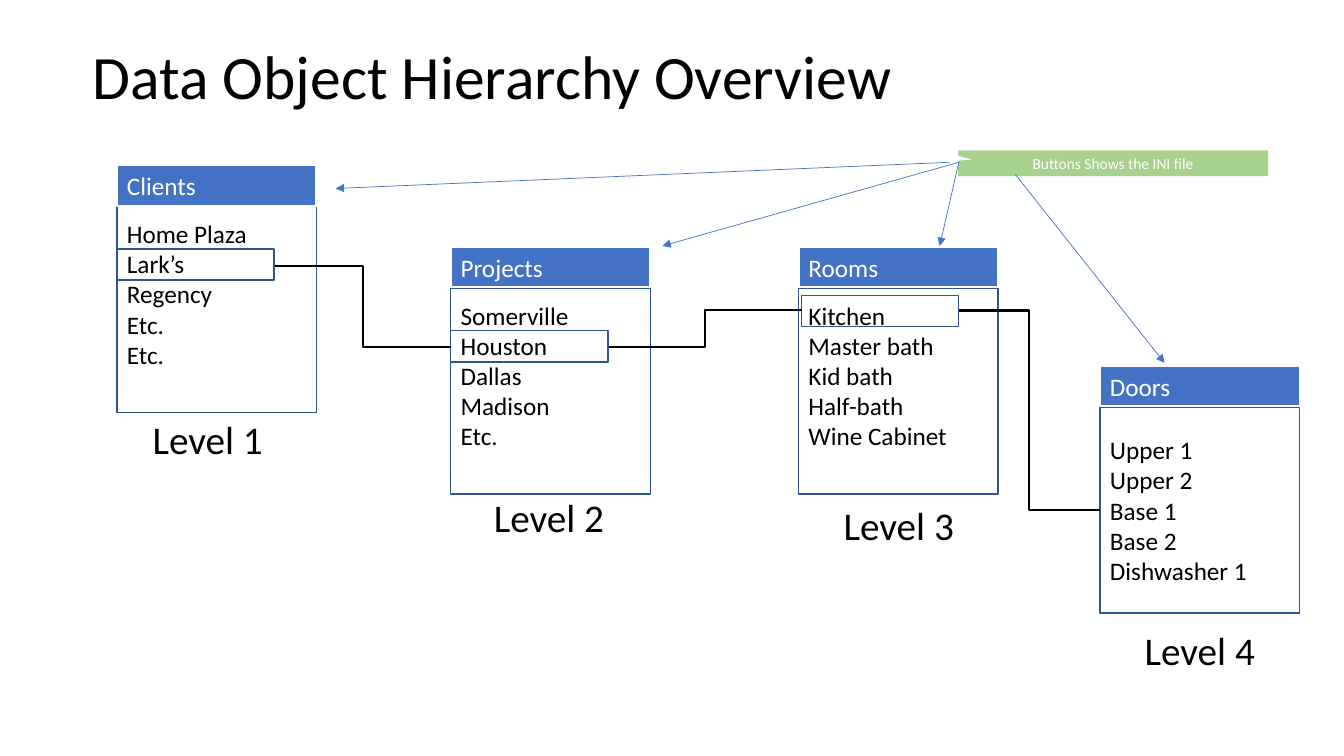
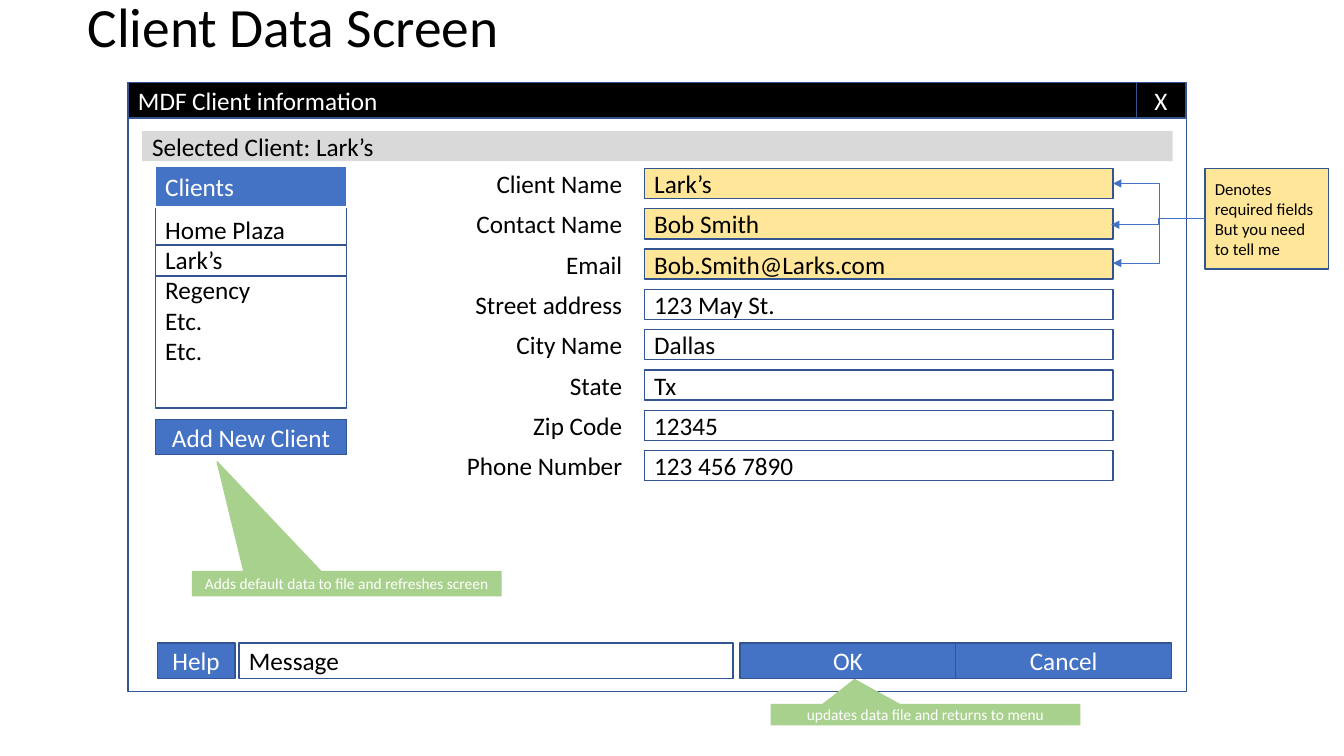
from lxml.etree import SubElement
from pptx import Presentation
from pptx.dml.color import RGBColor
from pptx.enum.shapes import MSO_CONNECTOR, MSO_SHAPE
from pptx.enum.text import MSO_ANCHOR, PP_ALIGN
from pptx.oxml.ns import qn
from pptx.util import Pt

PX = 9144  # EMU per px, 100 px to the inch

BLACK, WHITE = "000000", "FFFFFF"
BLUE, OUTLINE = "4472C4", "325491"
GREEN, YELLOW, GREY = "A9D18E", "FFE699", "D9D9D9"

LEFT, CENTER, RIGHT = PP_ALIGN.LEFT, PP_ALIGN.CENTER, PP_ALIGN.RIGHT
ROW_HEIGHT = 31
BODY_HEIGHT = 204


def rgb(color):
    return RGBColor.from_string(color)


class Deck:
    font = "Calibri"
    size = 18

    def __init__(self):
        self.presentation = Presentation()
        self.presentation.slide_width = 1333 * PX
        self.presentation.slide_height = 750 * PX
        self.slide = None

    def new_slide(self):
        self.slide = self.presentation.slides.add_slide(self.presentation.slide_layouts[6])

    def set_text(self, shape, text, color=BLACK, size=None, align=LEFT, spacing=None):
        frame = shape.text_frame
        frame.word_wrap = True
        frame.vertical_anchor = MSO_ANCHOR.MIDDLE
        frame.text = text
        for paragraph in frame.paragraphs:
            paragraph.alignment = align
            paragraph.line_spacing = spacing
            for run in paragraph.runs:
                run.font.name = self.font
                run.font.size = Pt(size or self.size)
                run.font.color.rgb = rgb(color)

    def text(self, left, top, width, height, text, **style):
        shape = self.slide.shapes.add_textbox(left * PX, top * PX, width * PX, height * PX)
        self.set_text(shape, text, **style)

    def title(self, left, top, height, text, size):
        self.text(left, top, 1150, height, text, size=size, spacing=0.9)

    def box(self, left, top, width, height, text="", fill=None, line=OUTLINE,
            line_width=1, kind=MSO_SHAPE.RECTANGLE, **style):
        shape = self.slide.shapes.add_shape(kind, left * PX, top * PX, width * PX, height * PX)
        shape.shadow.inherit = False
        if fill:
            shape.fill.solid()
            shape.fill.fore_color.rgb = rgb(fill)
        else:
            shape.fill.background()
        if line:
            shape.line.color.rgb = rgb(line)
            shape.line.width = Pt(line_width)
        else:
            shape.line.fill.background()
        if text:
            self.set_text(shape, text, **style)
        return shape

    def button(self, left, top, width, text, fill=BLUE):
        self.box(left, top, width, 35, text, fill, color=WHITE, align=CENTER)

    def callout(self, left, top, height, text, tip):
        """Green note whose tip is given as fractions of its size from its centre."""
        shape = self.box(left, top, 306, height, text, GREEN, GREEN, color=WHITE, size=11,
                         align=CENTER, kind=MSO_SHAPE.RECTANGULAR_CALLOUT)
        shape.adjustments[0], shape.adjustments[1] = tip

    def list_box(self, left, top, width, heading, rows, body_offset=41, spare_row=True):
        body = self.box(left, top + body_offset, width, BODY_HEIGHT, "\n".join(rows), WHITE)
        if spare_row:
            body.text_frame.margin_bottom = (5 + ROW_HEIGHT) * PX
        self.box(left, top, width, 40, heading, BLUE, WHITE, 1.5, color=WHITE)

    def selection(self, left, top, width):
        self.box(left, top, width, ROW_HEIGHT)

    def connector(self, start, end, color, width, kind=MSO_CONNECTOR.STRAIGHT, arrow=False):
        points = [value * PX for value in (*start, *end)]
        connector = self.slide.shapes.add_connector(kind, *points)
        connector.line.color.rgb = rgb(color)
        connector.line.width = Pt(width)
        properties = connector._element.spPr
        if arrow:
            SubElement(properties.find(qn("a:ln")), qn("a:tailEnd"), type="triangle")
        SubElement(properties, qn("a:effectLst"))

    def arrow(self, start, end, kind=MSO_CONNECTOR.STRAIGHT):
        self.connector(start, end, BLUE, 0.5, kind, arrow=True)


CLIENTS = ["Home Plaza", "Lark’s", "Regency", "Etc.", "Etc."]


def hierarchy_slide(deck):
    deck.new_slide()
    deck.title(82, 6, 145, "Data Object Hierarchy Overview", 44)

    levels = [
        (116, 164, "Clients", CLIENTS, (122, 407, 168)),
        (447, 245, "Projects", ["Somerville", "Houston", "Dallas", "Madison", "Etc."],
         (464, 484, 161)),
        (792, 245, "Rooms", ["Kitchen", "Master bath", "Kid bath", "Half-bath", "Wine Cabinet"],
         (811, 492, 161)),
        (1091, 363, "Doors", ["Upper 1", "Upper 2", "Base 1", "Base 2", "Dishwasher 1"],
         (1091, 616, 198)),
    ]
    for number, (left, top, heading, rows, label) in enumerate(levels, 1):
        deck.list_box(left, top, 198, heading, rows, spare_row=heading != "Doors")
        deck.text(*label, 57, f"Level {number}", size=28, align=CENTER)

    for left, top in [(116, 247), (447, 328), (795, 293)]:
        deck.selection(left, top, 156)
    for start, end in [((273, 264), (447, 344)), ((604, 344), (795, 308)),
                       ((951, 308), (1091, 506))]:
        deck.connector(start, end, BLACK, 1.5, MSO_CONNECTOR.ELBOW)

    deck.callout(951, 150, 24, "Buttons Shows the INI file", (-0.44, -0.13))
    for start, end in [((942, 161), (333, 187)), ((951, 161), (657, 244)),
                       ((951, 161), (932, 244)), ((1007, 173), (1155, 360))]:
        deck.arrow(start, end)


def client_slide(deck):
    deck.new_slide()
    deck.title(77, 3, 52, "Client Data Screen", 39.6)

    deck.box(127, 82, 1050, 604)
    deck.box(127, 82, 1001, 35, "MDF Client information", BLACK, color=WHITE)
    deck.button(1127, 82, 49, "X", BLACK)
    deck.box(141, 130, 1022, 30, "Selected Client: Lark’s", GREY, None)

    deck.list_box(154, 165, 190, "Clients", CLIENTS, body_offset=36)
    deck.selection(154, 243, 190)
    deck.button(154, 416, 190, "Add New Client")

    fields = [
        ("Client Name", "Lark’s"),
        ("Contact Name", "Bob Smith"),
        ("Email", "Bob.Smith@Larks.com"),
        ("Street address", "123 May St."),
        ("City Name", "Dallas"),
        ("State", "Tx"),
        ("Zip Code", "12345"),
        ("Phone Number", "123 456 7890"),
    ]
    required = 3
    for index, (label, value) in enumerate(fields):
        top = 167 + 40 * index
        deck.box(396, top, 231, 30, label, WHITE, None, align=RIGHT)
        deck.box(639, top, 465, 30, value, YELLOW if index < required else WHITE)

    deck.box(1195, 167, 123, 100, "Denotes required fields\nBut you need to tell me",
             YELLOW, size=12)
    for end in [(1104, 182), (1102, 223), (1104, 261)]:
        deck.arrow((1195, 217), end, MSO_CONNECTOR.ELBOW)

    for left, width, text in [(156, 77, "Help"), (734, 214, "OK"), (948, 214, "Cancel")]:
        deck.button(left, 638, width, text)
    deck.box(237, 638, 490, 35, "Message", WHITE)

    deck.callout(765, 699, 20, "updates data file and returns to menu", (-0.23, -1.74))
    deck.callout(191, 567, 24, "Adds default data to file and refreshes screen",
                 (-0.42, -5.03))


def main():
    deck = Deck()
    hierarchy_slide(deck)
    client_slide(deck)
    deck.presentation.save("out.pptx")


if __name__ == "__main__":
    main()
